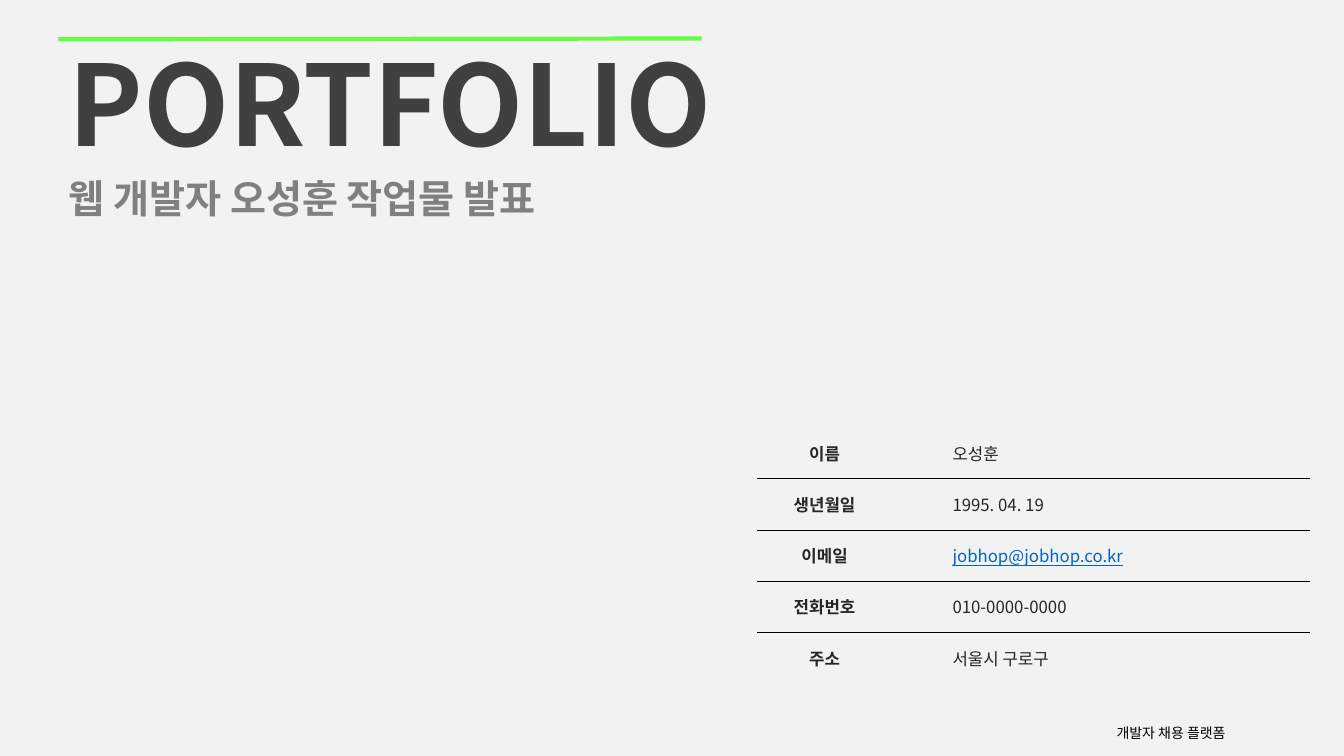
from dataclasses import dataclass

from lxml.etree import SubElement
from pptx import Presentation
from pptx.dml.color import RGBColor
from pptx.enum.shapes import MSO_CONNECTOR
from pptx.enum.text import MSO_ANCHOR, MSO_AUTO_SIZE, PP_ALIGN
from pptx.oxml.ns import qn
from pptx.util import Cm, Pt

FONT = "Noto Sans CJK KR"
INK = "262626"
LEFT = Cm(1.47)


@dataclass
class Detail:
    label: str
    content: str
    color: str = INK
    underline: bool = False


DETAILS = [
    Detail("이름", "오성훈"),
    Detail("생년월일", "1995. 04. 19"),
    Detail("이메일", "jobhop@jobhop.co.kr", "0563C1", True),
    Detail("전화번호", "010-0000-0000"),
    Detail("주소", "서울시 구로구"),
]


def rgb(code: str) -> RGBColor:
    return RGBColor.from_string(code)


def write(frame, text: str, size: float, color: str, bold: bool = False,
          align=PP_ALIGN.LEFT):
    """Fill a text frame with one styled paragraph and return it."""
    frame.word_wrap = True
    paragraph = frame.paragraphs[0]
    paragraph.text = text
    paragraph.alignment = align
    font = paragraph.font
    font.name, font.size, font.bold = FONT, Pt(size), bold
    font.color.rgb = rgb(color)
    defaults = paragraph._p.pPr.find(qn("a:defRPr"))
    SubElement(defaults, qn("a:ea"), typeface=FONT)
    return paragraph


def set_borders(cell, top: bool, bottom: bool) -> None:
    properties = cell._tc.get_or_add_tcPr()
    for side, shown in (("L", False), ("R", False), ("T", top), ("B", bottom)):
        border = SubElement(properties, qn(f"a:ln{side}"), w=str(Pt(0.25)))
        if shown:
            fill = SubElement(border, qn("a:solidFill"))
            SubElement(fill, qn("a:srgbClr"), val="000000")
        else:
            SubElement(border, qn("a:noFill"))


def add_details(slide, details: list[Detail]) -> None:
    widths, row_height = (Cm(3.4), Cm(10.54)), Cm(1.29)
    table = slide.shapes.add_table(
        len(details), len(widths), Cm(19.08), Cm(10.77),
        sum(widths), row_height * len(details)).table
    table.first_row = table.horz_banding = False
    for column, width in zip(table.columns, widths):
        column.width = width

    for index, detail in enumerate(details):
        table.rows[index].height = row_height
        label, content = table.rows[index].cells
        write(label.text_frame, detail.label, 12, INK, True, PP_ALIGN.CENTER)
        paragraph = write(content.text_frame, detail.content, 12, detail.color)
        paragraph.font.underline = detail.underline
        paragraph.level = 1
        paragraph._p.pPr.set("marL", str(Cm(1.27)))
        paragraph._p.pPr.set("indent", "0")
        for cell in (label, content):
            cell.vertical_anchor = MSO_ANCHOR.MIDDLE
            set_borders(cell, index > 0, index < len(details) - 1)
            cell.fill.background()


def main() -> None:
    deck = Presentation()
    deck.slide_width, deck.slide_height = Cm(33.87), Cm(19.05)
    slide = deck.slides.add_slide(deck.slide_layouts[5])
    slide.background.fill.solid()
    slide.background.fill.fore_color.rgb = rgb("F2F2F2")

    # Title with its accent line
    title = slide.shapes.title
    title.left, title.top, title.width, title.height = (
        LEFT, Cm(0.74), Cm(22.15), Cm(3.68))
    write(title.text_frame, "PORTFOLIO", 80, "404040", True)
    title.text_frame.vertical_anchor = MSO_ANCHOR.TOP
    title.text_frame.auto_size = MSO_AUTO_SIZE.NONE

    accent = slide.shapes.add_connector(
        MSO_CONNECTOR.STRAIGHT, LEFT, Cm(0.99), Cm(17.68), Cm(0.97))
    accent.line.color.rgb = rgb("67FB42")
    accent.line.width = Pt(3)
    SubElement(accent._element.spPr, qn("a:effectLst"))

    # Subtitle
    subtitle = slide.shapes.add_textbox(LEFT, Cm(4.39), Cm(31.04), Cm(2.13))
    paragraph = write(subtitle.text_frame, "웹 개발자 오성훈 작업물 발표",
                      28, "808080", True)
    paragraph.line_spacing = 0.9
    paragraph.space_before = Pt(10)

    # Personal details
    add_details(slide, DETAILS)

    # Footer
    footer = slide.shapes.add_textbox(Cm(27.89), Cm(18.14), Cm(4.11), Cm(0.71))
    write(footer.text_frame, "개발자 채용 플랫폼", 10, "000000")

    deck.save("out.pptx")


if __name__ == "__main__":
    main()
